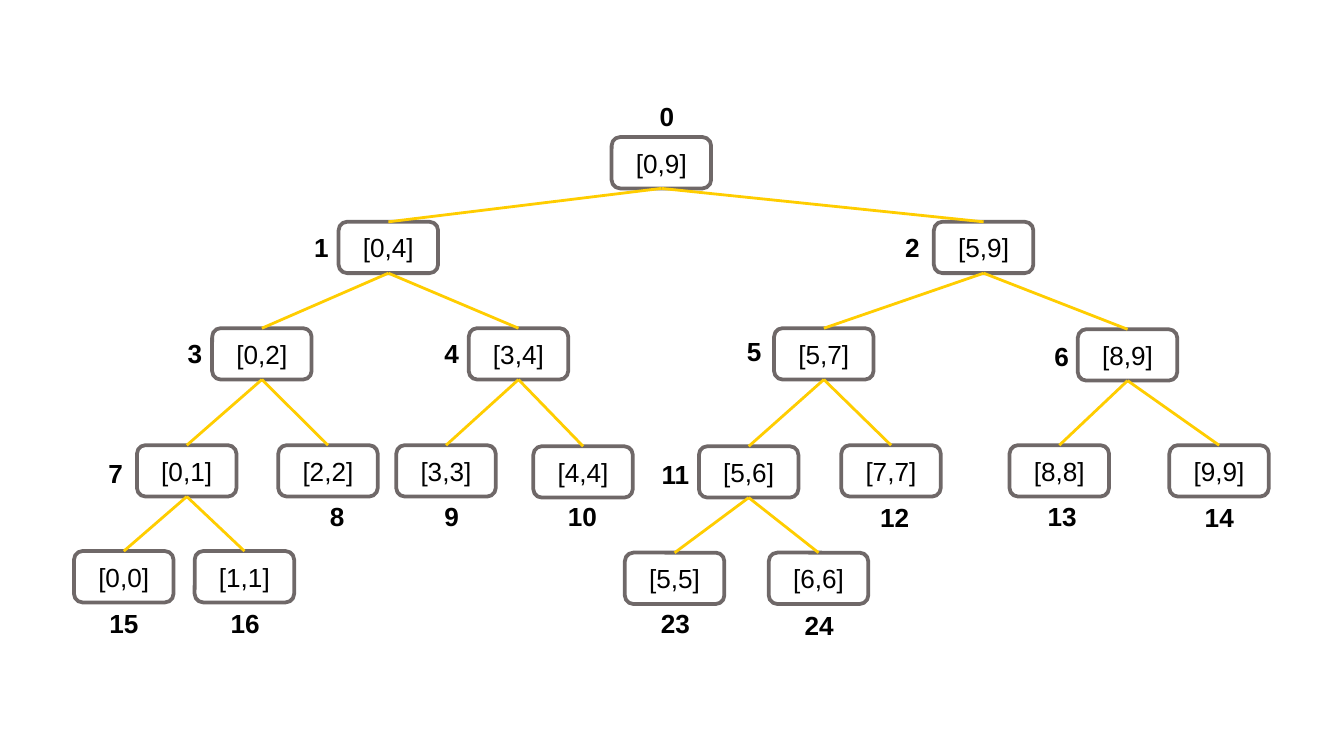
"""Draw a segment tree with numbered nodes."""
from lxml.etree import SubElement
from pptx import Presentation
from pptx.dml.color import RGBColor
from pptx.enum.shapes import MSO_CONNECTOR, MSO_SHAPE
from pptx.enum.text import MSO_ANCHOR, PP_ALIGN
from pptx.oxml.ns import qn
from pptx.util import Cm, Pt


def paint(part, code):
    part.solid()
    part.fore_color.rgb = RGBColor.from_string(code)


def add_box(kind, x, y, w, h, text, bold, shift=0):
    box = slide.shapes.add_shape(kind, Cm(x), Cm(y), Cm(w), Cm(h))
    box.shadow.inherit = False
    box.fill.background()
    box.line.fill.background()
    frame = box.text_frame
    frame.word_wrap = False
    frame.vertical_anchor = MSO_ANCHOR.MIDDLE
    frame.margin_left = Cm(shift)
    frame.margin_right = frame.margin_top = frame.margin_bottom = 0
    para = frame.paragraphs[0]
    para.alignment = PP_ALIGN.CENTER
    run = para.add_run()
    run.text = text
    run.font.name = "Arial"
    run.font.size = Pt(14)
    run.font.bold = bold
    paint(run.font.fill, "000000")
    return box


deck = Presentation()
deck.slide_width, deck.slide_height = Cm(25.4), Cm(14.28)
slide = deck.slides.add_slide(deck.slide_layouts[6])

wide, high = 1.88, 0.97
small, flat, large = (0.76, 0.38), (2.06, 0.38), (2.31, 1.04)

# number: range, node left and top, label left, top and size
nodes = {
    0: ("[0,9]", 11.56, 2.59, 12.12, 2.01, small),
    1: ("[0,4]", 6.4, 4.19, 5.59, 4.47, small),
    2: ("[5,9]", 17.65, 4.19, 16.76, 4.47, small),
    3: ("[0,2]", 4.01, 6.2, 3.2, 6.48, small),
    4: ("[3,4]", 8.86, 6.2, 8.05, 6.48, small),
    5: ("[5,7]", 14.63, 6.2, 13.77, 6.45, small),
    6: ("[8,9]", 20.37, 6.22, 19.58, 6.53, small),
    7: ("[0,1]", 2.59, 8.41, 1.7, 8.74, small),
    8: ("[2,2]", 5.26, 8.41, 5.89, 9.55, small),
    9: ("[3,3]", 7.49, 8.41, 8.05, 9.55, small),
    10: ("[4,4]", 10.08, 8.43, 9.98, 9.55, flat),
    11: ("[5,6]", 13.21, 8.43, 11.61, 8.43, large),
    12: ("[7,7]", 15.9, 8.41, 15.88, 9.58, flat),
    13: ("[8,8]", 19.08, 8.41, 18.92, 9.22, large),
    14: ("[9,9]", 22.1, 8.41, 21.89, 9.25, large),
    15: ("[0,0]", 1.4, 10.41, 1.19, 11.25, large),
    16: ("[1,1]", 3.68, 10.41, 3.48, 11.25, large),
    23: ("[5,5]", 11.81, 10.44, 11.61, 11.25, large),
    24: ("[6,6]", 14.53, 10.44, 14.33, 11.28, large),
}

for num, (span, x, y, left, top, size) in nodes.items():
    node = add_box(MSO_SHAPE.ROUNDED_RECTANGLE, x, y, wide, high, span, False)
    paint(node.fill, "FFFFFF")
    paint(node.line.fill, "6F6868")
    node.line.width = Pt(2)
    shift = 0.21 if size == small else 0
    add_box(MSO_SHAPE.OVAL, left, top, *size, str(num), True, shift)

for num in nodes:
    if num == 0:
        continue
    up, down = nodes[(num - 1) // 2], nodes[num]
    edge = slide.shapes.add_connector(
        MSO_CONNECTOR.STRAIGHT,
        Cm(up[1] + wide / 2), Cm(up[2] + high),
        Cm(down[1] + wide / 2), Cm(down[2]))
    paint(edge.line.fill, "FFCD00")
    edge.line.width = Pt(1.5)
    SubElement(edge._element.spPr, qn("a:effectLst"))

deck.save("out.pptx")
